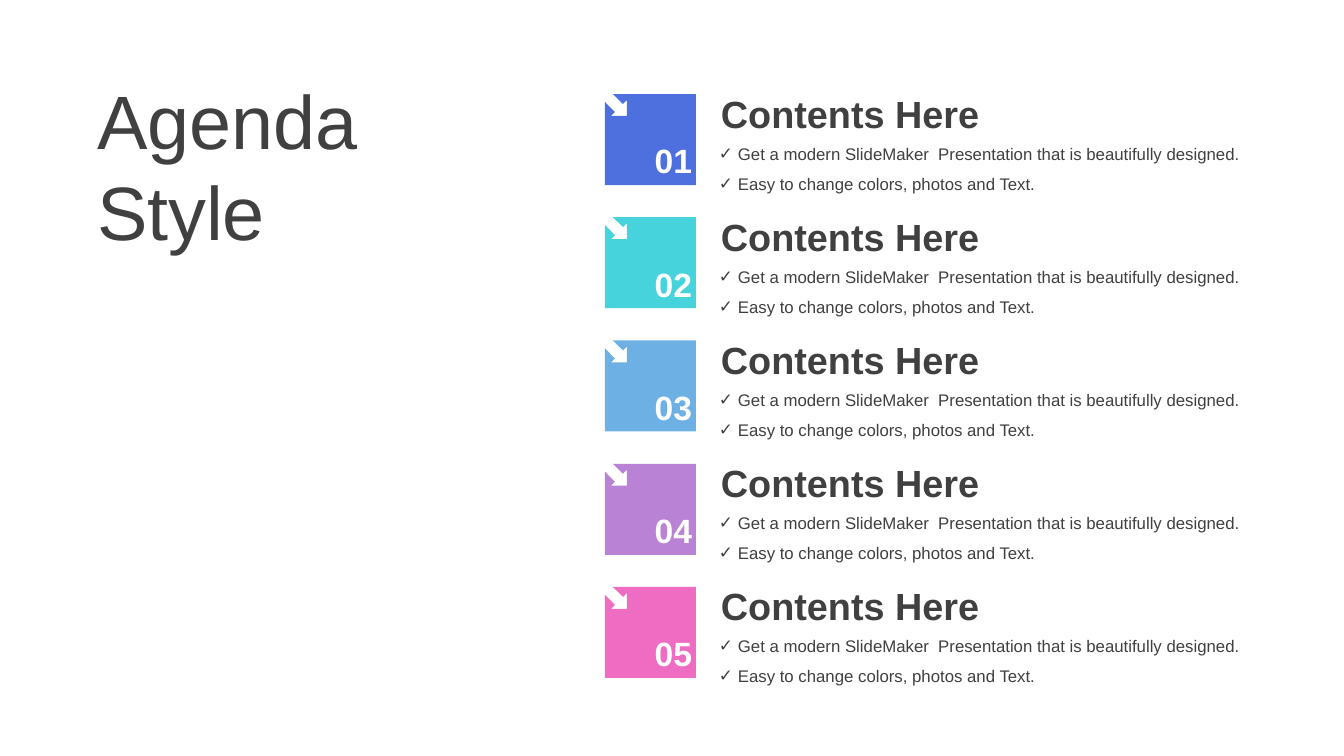
import lxml.etree
import pptx
import pptx.dml.color
import pptx.enum.text
import pptx.oxml.ns
import pptx.util

TITLE = "Agenda Style"
HEADING = "Contents Here"
POINTS = [
    ("Get a modern SlideMaker  Presentation that is beautifully designed.", 1.0),
    ("Easy to change colors, photos and Text.", 1.5),
]
BADGE_COLORS = ["4E70DE", "47D3DC", "6DB0E4", "B982D5", "EE6CC1"]
TEXT_COLOR = "404040"
BADGE_OUTLINE = [(8, 0), (91, 0), (91, 91), (0, 91), (0, 8),
                 (10, 18), (6, 22), (22, 22), (22, 6), (18, 10)]
BADGE_LEFT, BADGE_FIRST, BADGE_LAST = 605, 94, 587
TEXT_LEFT, TEXT_FIRST, TEXT_PITCH = 709, 86, 123
EMU_PER_PX = 914400 / 100.8

ANCHOR = pptx.enum.text.MSO_ANCHOR
ALIGN = pptx.enum.text.PP_ALIGN
GROW = pptx.enum.text.MSO_AUTO_SIZE.SHAPE_TO_FIT_TEXT
TITLE_FRAME = {"vertical_anchor": ANCHOR.MIDDLE, "auto_size": GROW}
POINTS_FRAME = TITLE_FRAME
NUMBER_FRAME = {"vertical_anchor": ANCHOR.MIDDLE, "margin_left": 0,
                "margin_top": 0, "margin_right": 0, "margin_bottom": 0}


def px(length):
    return pptx.util.Emu(round(length * EMU_PER_PX))


HEADING_FRAME = {"auto_size": GROW, "margin_left": px(12), "margin_right": px(12)}


def color(value):
    return pptx.dml.color.RGBColor.from_string(value)


def assign(target, values):
    for name, value in values.items():
        setattr(target, name, value)


def write(para, text, size, ink=TEXT_COLOR, bold=False):
    span = para.add_run()
    span.text = text
    assign(span.font, {"name": "Arial", "size": pptx.util.Pt(size), "bold": bold})
    span.font.color.rgb = color(ink)


def add_box(page, left, top, width, height, frame_format):
    box = page.shapes.add_textbox(px(left), px(top), px(width), px(height))
    assign(box.text_frame, {"word_wrap": True, **frame_format})
    return box.text_frame


def add_check(para):
    properties = para._p.get_or_add_pPr()
    properties.set("marL", str(px(19)))
    properties.set("indent", str(-px(19)))
    for tag, attribute, value in (("a:buFont", "typeface", "Arial"), ("a:buChar", "char", "✓")):
        element = lxml.etree.SubElement(properties, pptx.oxml.ns.qn(tag))
        element.set(attribute, value)


def add_title(page):
    title = page.shapes.title
    assign(title, {"left": px(87), "top": px(68), "width": px(402), "height": px(194)})
    assign(title.text_frame, {"word_wrap": True, **TITLE_FRAME})
    para = title.text_frame.paragraphs[0]
    para.alignment = ALIGN.LEFT
    write(para, TITLE, 54)


def add_badge(page, index, fill):
    top = BADGE_FIRST + index * (BADGE_LAST - BADGE_FIRST) / (len(BADGE_COLORS) - 1)
    corners = [(px(BADGE_LEFT + x), px(top + y)) for x, y in BADGE_OUTLINE]
    builder = page.shapes.build_freeform(*corners[0])
    builder.add_line_segments(corners[1:], close=True)
    badge = builder.convert_to_shape()
    badge.shadow.inherit = False
    badge.fill.solid()
    badge.fill.fore_color.rgb = color(fill)
    badge.line.fill.background()
    frame = add_box(page, BADGE_LEFT + 26, top + 46, 61, 41, NUMBER_FRAME)
    para = frame.paragraphs[0]
    para.alignment = ALIGN.RIGHT
    write(para, f"{index + 1:02}", 24, "FFFFFF", True)


def add_contents(page, index):
    top = TEXT_FIRST + index * TEXT_PITCH
    frame = add_box(page, TEXT_LEFT, top + 54, 549, 57, POINTS_FRAME)
    for number, (text, spacing) in enumerate(POINTS):
        para = frame.add_paragraph() if number else frame.paragraphs[0]
        add_check(para)
        para.line_spacing = spacing
        write(para, text, 12)
    heading = add_box(page, TEXT_LEFT, top, 497, 56, HEADING_FRAME)
    write(heading.paragraphs[0], HEADING, 27, bold=True)


def main():
    deck = pptx.Presentation()
    assign(deck, {"slide_width": px(1344), "slide_height": px(756)})
    page = deck.slides.add_slide(deck.slide_layouts[5])
    add_title(page)
    for index, fill in enumerate(BADGE_COLORS):
        add_badge(page, index, fill)
        add_contents(page, index)
    deck.save("out.pptx")


if __name__ == "__main__":
    main()
